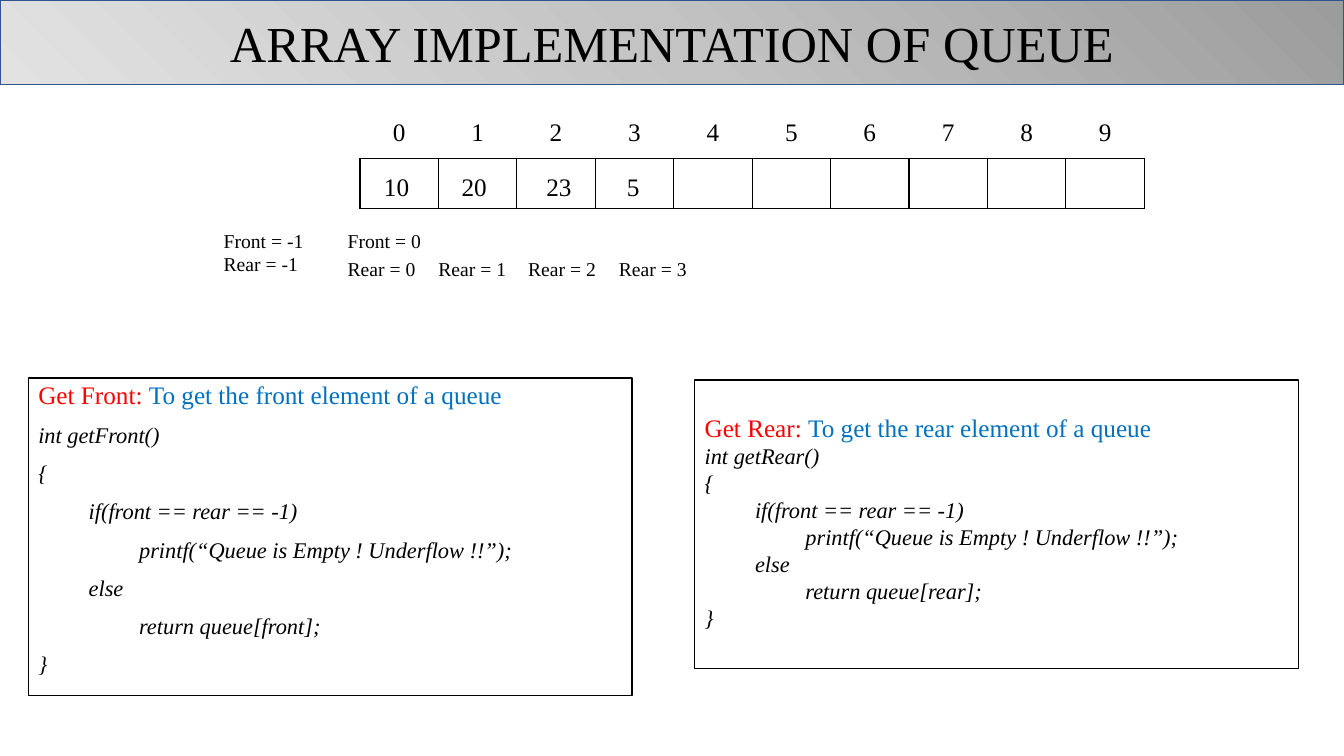
from copy import deepcopy
from pptx import Presentation
from pptx.dml.color import RGBColor as RGB
from pptx.enum.shapes import MSO_SHAPE as Shape
from pptx.enum.text import MSO_ANCHOR as Anchor, MSO_AUTO_SIZE as Fit, PP_ALIGN as Align
from pptx.oxml import parse_xml
from pptx.oxml.ns import nsdecls, qn
from pptx.util import Inches, Pt

FONT = "Times New Roman"
BLACK = RGB(0x00, 0x00, 0x00)
WHITE = RGB(0xFF, 0xFF, 0xFF)
RED = RGB(0xFF, 0x00, 0x00)
BLUE = RGB(0x00, 0x70, 0xC0)
NAVY = RGB(0x31, 0x53, 0x8F)
GREYS = [(0, RGB(0x9C, 0x9C, 0x9C)), (0.5, RGB(0xC3, 0xC3, 0xC3)), (1, RGB(0xE2, 0xE2, 0xE2))]

CELL = 0.778
ROW = 0.5
COUNT = 10
ITEMS = [("10", 3.71, 0.46), ("20", 4.48, 0.46), ("23", 5.32, 0.46), ("5", 6.12, 0.35)]
STATES = [
    ("Front = -1\nRear = -1", 2.12, 2.22, 1.24, 0.57),
    ("Front = 0", 3.35, 2.22, 1.24, 0.34),
    ("Rear = 0", 3.35, 2.5, 1.24, 0.34),
    ("Rear = 1", 4.25, 2.5, 1.24, 0.34),
    ("Rear = 2", 5.14, 2.5, 1, 0.34),
    ("Rear = 3", 6.04, 2.5, 1, 0.34),
]


def style(run, size, color=BLACK, italic=False):
    font = run.font
    font.name = FONT
    font.size = Pt(size)
    font.color.rgb = color
    font.bold = False
    font.italic = italic


def place(shape, left, top, width, height):
    shape.left, shape.top = Inches(left), Inches(top)
    shape.width, shape.height = Inches(width), Inches(height)


def outline(shape, color):
    shape.line.color.rgb = color
    shape.line.width = Pt(1)


def banner(title):
    place(title, 0, 0, 13.33, 0.84)
    outline(title, NAVY)
    fill = title.fill
    fill.gradient()
    fill.gradient_angle = 225
    stops = title.element.spPr.find(qn("a:gradFill")).find(qn("a:gsLst"))
    stops.append(deepcopy(stops[0]))
    for stop, (pos, color) in zip(fill.gradient_stops, GREYS):
        stop.position = pos
        stop.color.rgb = color
    frame = title.text_frame
    frame.text = "ARRAY IMPLEMENTATION OF QUEUE"
    frame.auto_size = Fit.NONE
    frame.vertical_anchor = Anchor.MIDDLE
    para = frame.paragraphs[0]
    para.alignment = Align.CENTER
    style(para.runs[0], 36)


def border(cell, sides):
    props = cell._tc.get_or_add_tcPr()
    for spot, side in enumerate(sides):
        props.insert(spot, parse_xml(
            f'<a:ln{side} {nsdecls("a")} w="12700"><a:solidFill>'
            f'<a:srgbClr val="{BLACK}"/></a:solidFill></a:ln{side}>'))


def array(slide):
    frame = slide.shapes.add_table(2, COUNT, Inches(3.57), Inches(1.07),
                                   Inches(CELL * COUNT), Inches(ROW * 2))
    table = frame.table
    table.first_row = table.horz_banding = False
    for row in table.rows:
        row.height = Inches(ROW)
    for col in range(COUNT):
        table.columns[col].width = Inches(CELL)
        head, slot = table.cell(0, col), table.cell(1, col)
        head.text = str(col)
        head.vertical_anchor = Anchor.MIDDLE
        para = head.text_frame.paragraphs[0]
        para.alignment = Align.CENTER
        style(para.runs[0], 18)
        for cell, sides in ((head, "B"), (slot, "LRTB")):
            cell.fill.background()
            border(cell, sides)


def label(slide, text, left, top, width, height, size):
    box = slide.shapes.add_textbox(Inches(left), Inches(top), Inches(width), Inches(height))
    frame = box.text_frame
    frame.word_wrap = True
    frame.text = text
    for para in frame.paragraphs:
        style(para.runs[0], size)


def code(shape, end, line, gap):
    shape.fill.solid()
    shape.fill.fore_color.rgb = WHITE
    outline(shape, BLACK)
    frame = shape.text_frame
    frame.word_wrap = True
    frame.auto_size = Fit.NONE
    frame.vertical_anchor = Anchor.TOP
    lines = [
        f"int get{end}()",
        "{",
        "\tif(front == rear == -1)",
        "\t\tprintf(“Queue is Empty ! Underflow !!”);",
        "\telse",
        f"\t\treturn queue[{end.lower()}];",
        "}",
    ]
    frame.text = "\n".join([f"Get {end}: "] + lines)
    for spot, para in enumerate(frame.paragraphs):
        props = para._p.get_or_add_pPr()
        props.set("marL", "0")
        props.set("indent", "0")
        props.append(parse_xml(f'<a:buNone {nsdecls("a")}/>'))
        para.alignment = Align.LEFT
        para.line_spacing = line
        para.space_before = Pt(gap if spot else 0)
        if spot:
            style(para.runs[0], 16, italic=True)
    head = frame.paragraphs[0]
    style(head.runs[0], 18, RED)
    run = head.add_run()
    run.text = f"To get the {end.lower()} element of a queue"
    style(run, 18, BLUE)


def main():
    deck = Presentation()
    deck.slide_width, deck.slide_height = Inches(13.33), Inches(7.5)
    slide = deck.slides.add_slide(deck.slide_layouts[1])
    banner(slide.shapes.title)
    body = slide.placeholders[1]
    place(body, 0.28, 3.75, 5.99, 3.15)
    code(body, "Front", 0.9, 10)
    array(slide)
    for text, left, width in ITEMS:
        label(slide, text, left, 1.65, width, 0.4, 18)
    for state in STATES:
        label(slide, *state, 14)
    rear = slide.shapes.add_shape(Shape.RECTANGLE, Inches(6.89), Inches(3.77),
                                  Inches(5.99), Inches(2.86))
    rear.shadow.inherit = False
    code(rear, "Rear", 1.0, 0)
    rear.text_frame.margin_top = Inches(0.32)
    deck.save("out.pptx")


if __name__ == "__main__":
    main()
